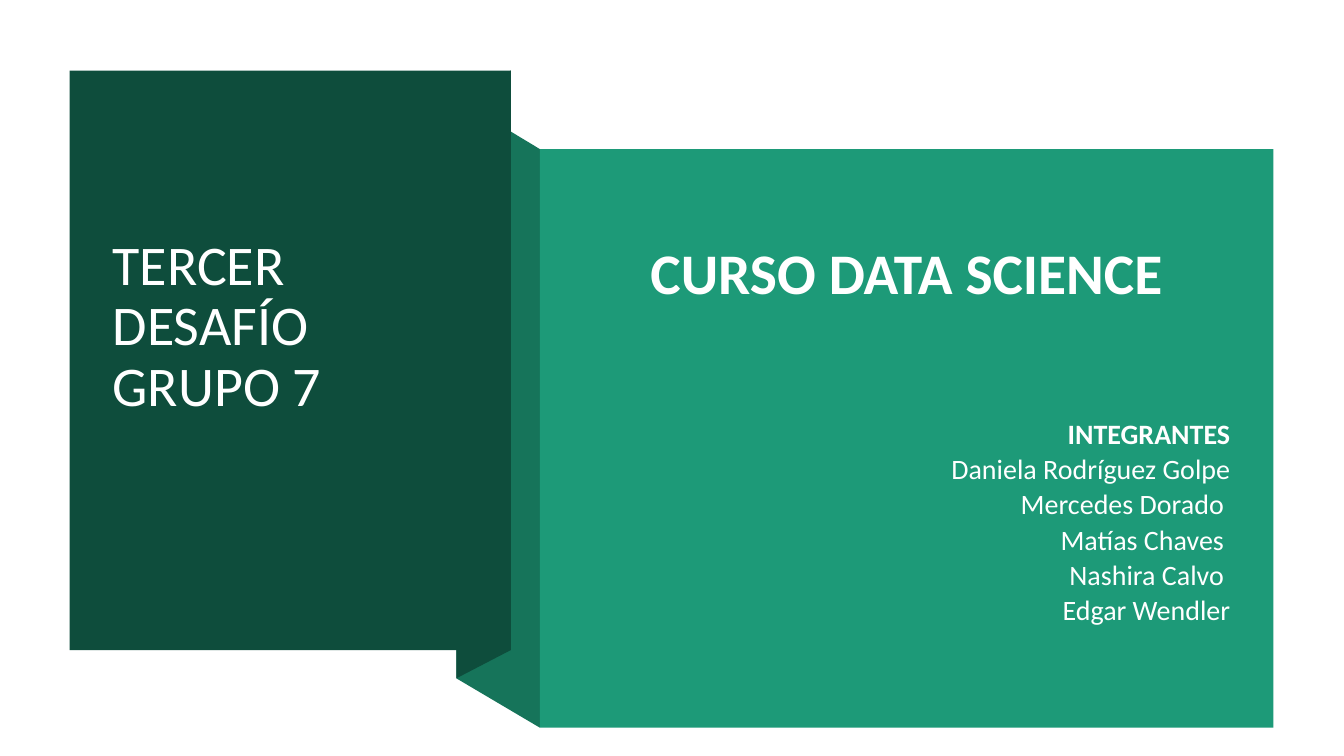
from pptx import Presentation
from pptx.dml.color import RGBColor
from pptx.enum.shapes import MSO_SHAPE
from pptx.enum.text import MSO_ANCHOR, PP_ALIGN
from pptx.util import Inches, Pt

# Content
TITLE_LINES = ["TERCER DESAFÍO", "GRUPO 7"]
COURSE = "CURSO DATA SCIENCE"
MEMBERS_HEADING = "INTEGRANTES"
MEMBERS = ["Daniela Rodríguez Golpe", "Mercedes Dorado ", "Matías Chaves ",
           "Nashira Calvo ", "Edgar Wendler"]

FONT = "Calibri"
WHITE = RGBColor(0xFF, 0xFF, 0xFF)
DARK = RGBColor(0x0E, 0x4D, 0x3C)
MIDDLE = RGBColor(0x16, 0x74, 0x5A)
LIGHT = RGBColor(0x1D, 0x9A, 0x78)

# Ribbon geometry in inches: two panels joined by a fold
WIDTH, HEIGHT = 13.34, 7.5
LEFT_PANEL = (0.69, 0.7, 4.38, 5.75)
RIGHT_PANEL = (5.36, 1.48, 7.28, 5.74)
FOLD_X, FOLD_TOP, FOLD_BOTTOM = 4.53, 0.98, 6.73
LEFT_EDGE = LEFT_PANEL[0] + LEFT_PANEL[2]
PANEL_MARGIN = 0.33
TITLE_TOP, COURSE_TOP = 2.35, 2.48

deck = Presentation()
deck.slide_width, deck.slide_height = Inches(WIDTH), Inches(HEIGHT)
page = deck.slides.add_slide(deck.slide_layouts[6])


def paint(shape, color):
    shape.shadow.inherit = False
    shape.fill.solid()
    shape.fill.fore_color.rgb = color
    shape.line.fill.background()


def add_fold(edge_x, edge_top, edge_height, color):
    """Slanted strip from the fold line to the edge of a panel."""
    corners = [(edge_x, edge_top + edge_height), (FOLD_X, FOLD_BOTTOM),
               (FOLD_X, FOLD_TOP), (edge_x, edge_top)]
    points = [(Inches(x), Inches(y)) for x, y in corners]
    builder = page.shapes.build_freeform(*points[0])
    builder.add_line_segments(points[1:], close=True)
    paint(builder.convert_to_shape(), color)


def add_panel(bounds, color):
    panel = page.shapes.add_shape(MSO_SHAPE.RECTANGLE, *map(Inches, bounds))
    paint(panel, color)


def add_text_frame(panel, top):
    left, panel_top, width, height = panel
    box = page.shapes.add_textbox(
        Inches(left + PANEL_MARGIN), Inches(top),
        Inches(width - 2 * PANEL_MARGIN),
        Inches(panel_top + height - PANEL_MARGIN - top))
    frame = box.text_frame
    frame.word_wrap = True
    frame.vertical_anchor = MSO_ANCHOR.TOP
    frame.margin_top = frame.margin_bottom = 0
    return frame


def add_span(para, text, size, bold=False):
    span = para.add_run()
    span.text = text
    span.font.name, span.font.size, span.font.bold = FONT, Pt(size), bold
    span.font.color.rgb = WHITE


# Ribbon, back to front
add_fold(RIGHT_PANEL[0], RIGHT_PANEL[1], RIGHT_PANEL[3], MIDDLE)
add_fold(LEFT_EDGE, LEFT_PANEL[1], LEFT_PANEL[3], DARK)
add_panel(LEFT_PANEL, DARK)
add_panel(RIGHT_PANEL, LIGHT)

# Title on the left panel
para = add_text_frame(LEFT_PANEL, TITLE_TOP).paragraphs[0]
para.line_spacing = 0.9
for index, line in enumerate(TITLE_LINES):
    if index:
        para.add_line_break()
    add_span(para, line, 40)

# Course and members on the right panel
frame = add_text_frame(RIGHT_PANEL, COURSE_TOP)
rows = [(COURSE, 41, True, PP_ALIGN.CENTER, 0),
        (MEMBERS_HEADING, 20, True, PP_ALIGN.RIGHT, 78)]
rows += [(name, 20, False, PP_ALIGN.RIGHT, 0) for name in MEMBERS]
for index, (text, size, bold, align, before) in enumerate(rows):
    para = frame.add_paragraph() if index else frame.paragraphs[0]
    para.alignment = align
    para.line_spacing = 0.8
    para.space_before, para.space_after = Pt(before), Pt(6)
    add_span(para, text, size, bold)

deck.save("out.pptx")
